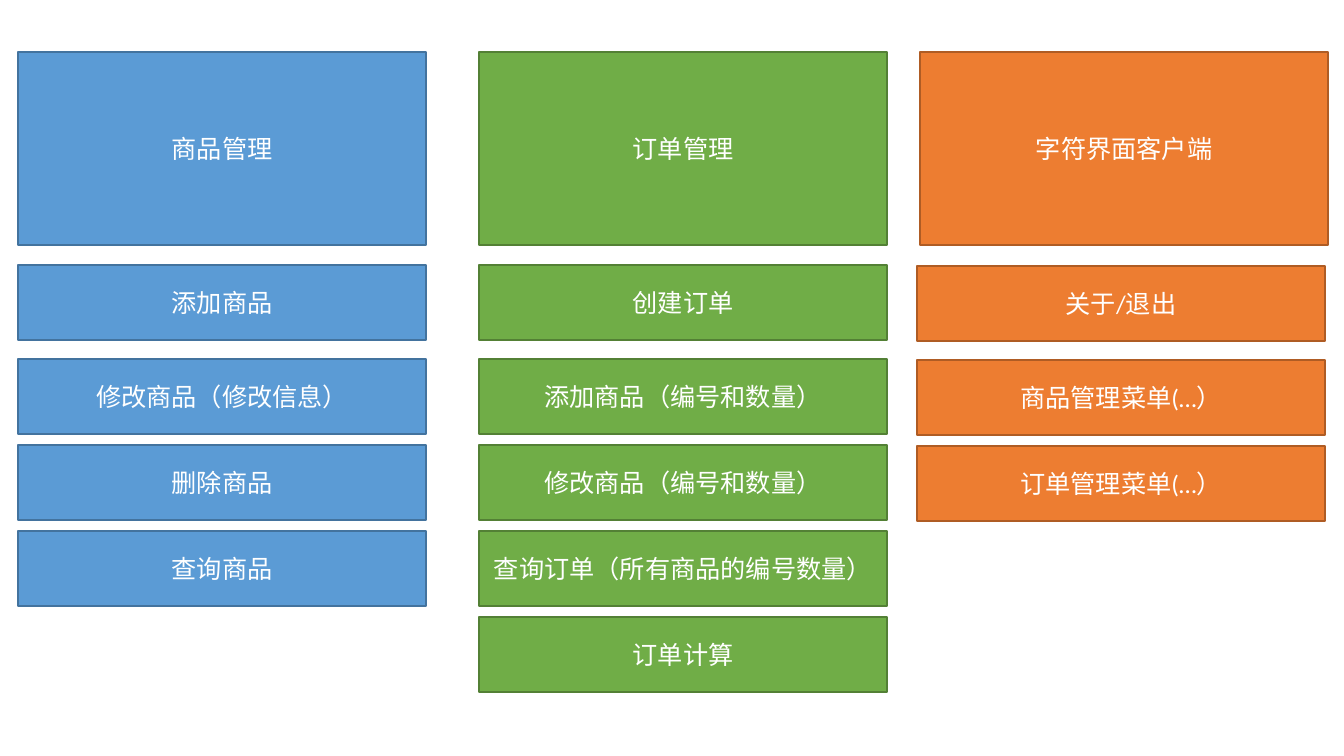
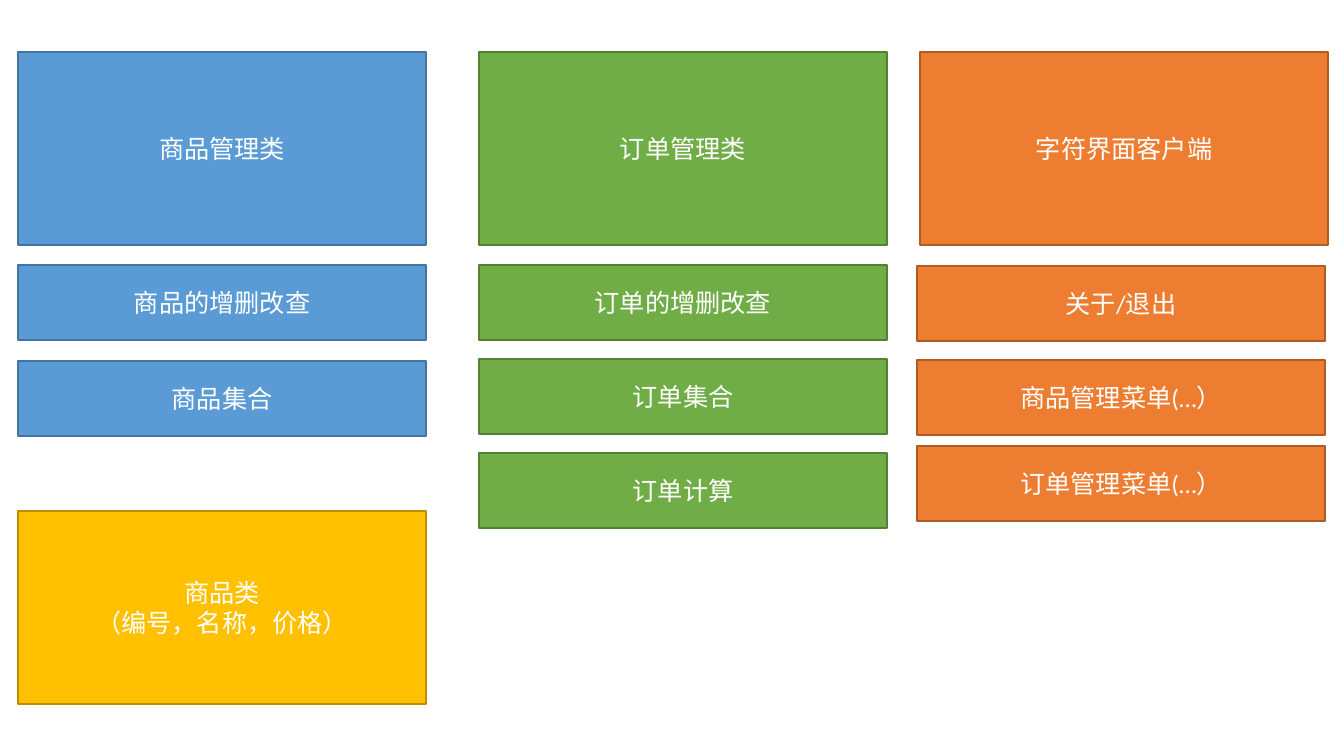
import pptx
import pptx.util
import pptx.dml.color
import pptx.enum.shapes
import pptx.enum.text

RGBColor = pptx.dml.color.RGBColor

# Shared look: (fill, outline) per module
WHITE = RGBColor(0xFF, 0xFF, 0xFF)
BLUE = (RGBColor(0x5B, 0x9B, 0xD5), RGBColor(0x43, 0x73, 0x9E))
GREEN = (RGBColor(0x70, 0xAD, 0x47), RGBColor(0x53, 0x80, 0x35))
ORANGE = (RGBColor(0xED, 0x7D, 0x31), RGBColor(0xAF, 0x5C, 0x24))
GOLD = (RGBColor(0xFF, 0xC0, 0x00), RGBColor(0xBD, 0x8E, 0x00))
FONT = "Calibri"
FONT_SIZE = pptx.util.Pt(18)

# Shared layout, in pixels
SLIDE_W, SLIDE_H = 1344, 756
EMU_PER_PX = 12192000 / SLIDE_W
GOODS_X, ORDER_X, CLIENT_X = 18, 479, 920
BOX_W, MODULE_H, FEATURE_H = 408, 193, 75
MODULE_Y, FEATURE_Y = 52, 265
FIRST_STEP, STEP = 94, 86


def px(pixels):
    return pptx.util.Emu(round(pixels * EMU_PER_PX))


def add_box(slide, x, y, height, colors, *lines):
    """Outlined rectangle with one centred paragraph per line."""
    box = slide.shapes.add_shape(
        pptx.enum.shapes.MSO_SHAPE.RECTANGLE, px(x), px(y), px(BOX_W), px(height))
    box.shadow.inherit = False
    fill, outline = colors
    box.fill.solid()
    box.fill.fore_color.rgb = fill
    box.line.color.rgb = outline
    box.line.width = pptx.util.Pt(1)

    frame = box.text_frame
    frame.word_wrap = True
    frame.vertical_anchor = pptx.enum.text.MSO_ANCHOR.MIDDLE
    for index, line in enumerate(lines):
        paragraph = frame.add_paragraph() if index else frame.paragraphs[0]
        paragraph.alignment = pptx.enum.text.PP_ALIGN.CENTER
        run = paragraph.add_run()
        run.text = line
        run.font.name = FONT
        run.font.size = FONT_SIZE
        run.font.color.rgb = WHITE


def add_module(slide, x, colors, title, features, first_step=FIRST_STEP,
               step=STEP, shift=(0, 0)):
    """Tall title box with its features stacked below, moved by shift."""
    add_box(slide, x, MODULE_Y, MODULE_H, colors, title)
    dx, dy = shift
    for index, feature in enumerate(features):
        drop = first_step + step * (index - 1) if index else 0
        add_box(slide, x + dx, FEATURE_Y + dy + drop, FEATURE_H, colors, feature)


def add_client(slide):
    """Client module, the same on both slides."""
    add_module(slide, CLIENT_X, ORANGE, "字符界面客户端",
               ["关于/退出", "商品管理菜单(…）", "订单管理菜单(…）"], shift=(-3, 1))


def build_features(slide):
    add_module(slide, GOODS_X, BLUE, "商品管理",
               ["添加商品", "修改商品（修改信息）", "删除商品", "查询商品"])
    add_module(slide, ORDER_X, GREEN, "订单管理",
               ["创建订单", "添加商品（编号和数量）", "修改商品（编号和数量）",
                "查询订单（所有商品的编号数量）", "订单计算"])
    add_client(slide)


def build_classes(slide):
    add_module(slide, GOODS_X, BLUE, "商品管理类",
               ["商品的增删改查", "商品集合"], first_step=96)
    add_module(slide, ORDER_X, GREEN, "订单管理类",
               ["订单的增删改查", "订单集合", "订单计算"], step=FIRST_STEP)
    add_client(slide)
    # Data class under the goods module
    add_box(slide, GOODS_X, 511, MODULE_H, GOLD, "商品类", "（编号，名称，价格）")


def main():
    deck = pptx.Presentation()
    deck.slide_width, deck.slide_height = px(SLIDE_W), px(SLIDE_H)
    blank = deck.slide_layouts[6]
    for build in (build_features, build_classes):
        build(deck.slides.add_slide(blank))
    deck.save("out.pptx")


main()
